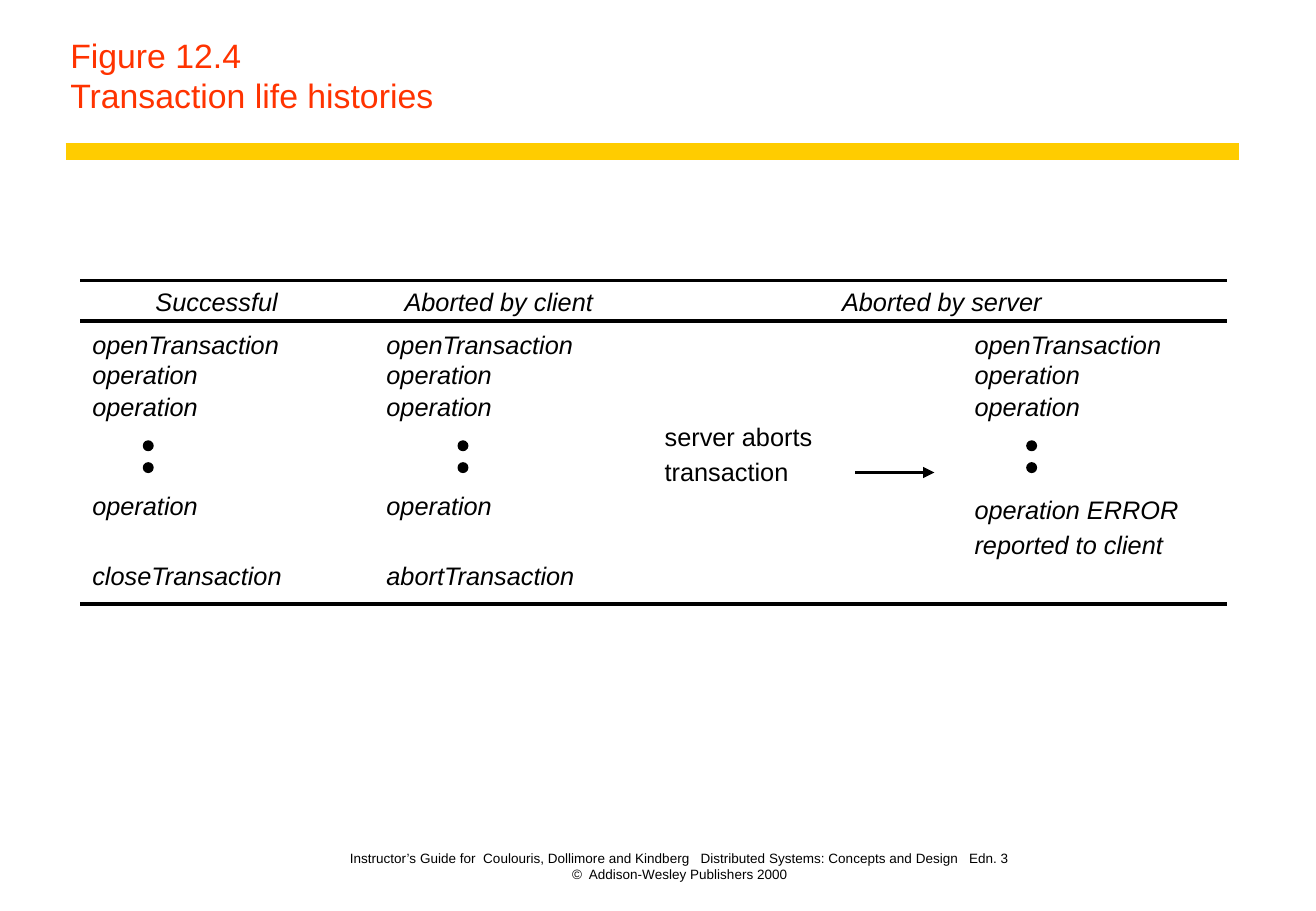
"""Builds the slide on transaction life histories."""
from lxml import etree
from pptx import Presentation
from pptx import util as u
from pptx.dml.color import RGBColor
from pptx.enum import shapes, text
from pptx.oxml import ns

SCALE = 9144
FONT = "Arial"
BLACK, RED, GOLD = "000000", "FF3300", "FFCC00"
RULE_LEFT, RULE_RIGHT = 66, 1010
RULE_TOPS = (231, 264, 497)
HEADING_TOP = 236
HEADINGS = ((128, "Successful"), (333, "Aborted by client"), (693, "Aborted by server"))
OPENING_CALLS = ((271, "openTransaction"), (296, "operation"), (322, "operation"))
HISTORIES = (
    (76, 118, ((404, "operation"), (461, "closeTransaction"))),
    (318, 377, ((404, "operation"), (461, "abortTransaction"))),
    (802, 845, ((407, "operation ERROR"), (436, "reported to client"))),
)
SERVER_NOTE = ((347, "server aborts"), (376, "transaction"))
DOT_TOPS, DOT_SIZE = (363, 381), 8
TITLE = "Figure 12.4\vTransaction life histories"
FOOTER = (
    "Instructor’s Guide for  Coulouris, Dollimore and Kindberg   "
    "Distributed Systems: Concepts and Design   Edn. 3\v"
    "©  Addison-Wesley Publishers 2000"
)
LABEL_FRAME = dict.fromkeys(("margin_left", "margin_top", "margin_right", "margin_bottom"), 0)
LABEL_FRAME["word_wrap"] = False
BLOCK_FRAME = {"word_wrap": True, "vertical_anchor": text.MSO_ANCHOR.BOTTOM}


def px(length):
    """Turn px into EMU."""
    return u.Emu(length * SCALE)


def color(value):
    """Turn a hex string into a colour."""
    return RGBColor.from_string(value)


def apply(target, values):
    """Set each named attribute on the target."""
    for name, value in values.items():
        setattr(target, name, value)


def add_text(slide, box, words, frame_format, size, ink=BLACK, italic=False, align=text.PP_ALIGN.LEFT):
    """Add one paragraph of text in a box."""
    frame = slide.shapes.add_textbox(*map(px, box)).text_frame
    apply(frame, frame_format)
    paragraph = frame.paragraphs[0]
    paragraph.text = words
    paragraph.alignment = align
    apply(paragraph.font, {"name": FONT, "size": u.Pt(size), "italic": italic})
    paragraph.font.color.rgb = color(ink)


def add_label(slide, left, top, words, italic=True):
    """Add a table entry that starts at the given point."""
    add_text(slide, (left, top, 196, 26), words, LABEL_FRAME, 15, italic=italic)


def add_line(slide, left, right, top, ink=BLACK, weight=2.25, arrow=False):
    """Add a horizontal line, with an arrowhead on request."""
    line = slide.shapes.add_connector(
        shapes.MSO_CONNECTOR.STRAIGHT, px(left), px(top), px(right), px(top)
    )
    line.line.color.rgb = color(ink)
    line.line.width = u.Pt(weight)
    if arrow:
        outline = line.line._get_or_add_ln()
        etree.SubElement(outline, ns.qn("a:tailEnd"), type="triangle")
    etree.SubElement(line._element.spPr, ns.qn("a:effectLst"))


def add_dot(slide, left, top):
    """Add one dot of a vertical ellipsis."""
    dot = slide.shapes.add_shape(
        shapes.MSO_SHAPE.OVAL, px(left), px(top), px(DOT_SIZE), px(DOT_SIZE)
    )
    dot.shadow.inherit = False
    dot.fill.solid()
    dot.fill.fore_color.rgb = color(BLACK)
    dot.line.color.rgb = color(BLACK)
    dot.line.width = u.Pt(0.75)


def main():
    """Build and save the slide."""
    deck = Presentation()
    apply(deck, {"slide_width": px(1083), "slide_height": px(750)})
    slide = deck.slides.add_slide(deck.slide_layouts[6])

    add_line(slide, 54, 1020, 125, GOLD, 10)
    add_text(slide, (48, 25, 972, 75), TITLE, BLOCK_FRAME, 20, RED)
    add_text(slide, (230, 700, 659, 31), FOOTER, BLOCK_FRAME, 8, align=text.PP_ALIGN.CENTER)

    for left, heading in HEADINGS:
        add_label(slide, left, HEADING_TOP, heading)
    for left, dot_left, closing_calls in HISTORIES:
        for top, call in OPENING_CALLS + closing_calls:
            add_label(slide, left, top, call)
        for top in DOT_TOPS:
            add_dot(slide, dot_left, top)

    for top, words in SERVER_NOTE:
        add_label(slide, 547, top, words, italic=False)
    add_line(slide, 704, 769, 389, arrow=True)
    for top in RULE_TOPS:
        add_line(slide, RULE_LEFT, RULE_RIGHT, top)

    deck.save("out.pptx")


if __name__ == "__main__":
    main()
